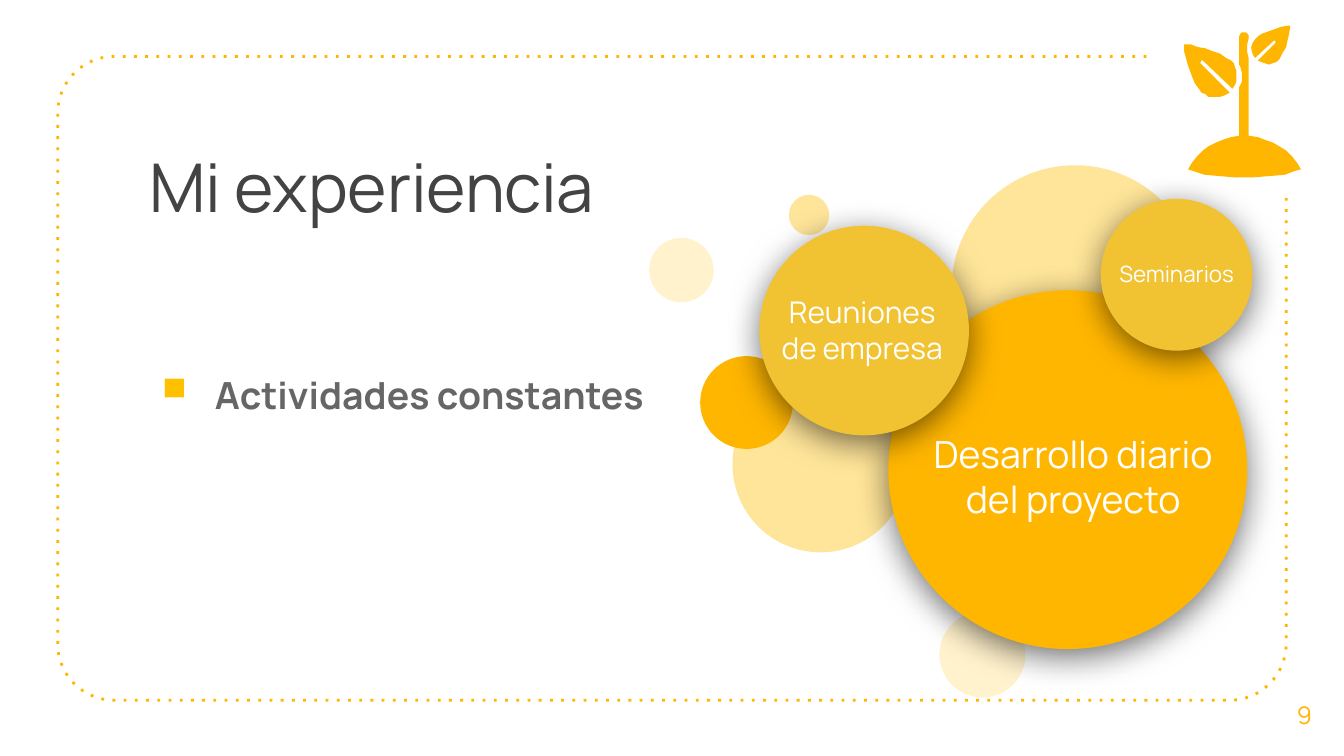
"""Build the "Mi experiencia" slide with its dotted frame, sprout and circles."""
from math import cos, radians, sin

from lxml import etree
from pptx import Presentation
from pptx.dml.color import RGBColor
from pptx.enum.dml import MSO_LINE
from pptx.enum.shapes import MSO_SHAPE
from pptx.enum.text import MSO_ANCHOR, MSO_AUTO_SIZE, PP_ALIGN
from pptx.oxml.ns import qn
from pptx.util import Inches, Pt

FONT = "Manrope"
COLORS = {"amber": "FFB600", "gold": "F1C232", "sand": "FFE599", "cream": "FFF2CC",
          "bullet": "FFC000", "title": "434343", "body": "666666", "white": "FFFFFF"}

TITLE = ("Mi experiencia", (1.01, 0.98, 7.51, 0.94), 36, "title")
ACTIVITY = ("Actividades constantes", (0.51, 2.67, 8.3, 0.95), 20, "body")
PAGE_NUMBER = ("9", (9.41, 5.02, 0.59, 0.6), 13, "amber")

BACK_CIRCLES = [(6.99, 4.55, 0.64, "cream"), (4.83, 1.77, 0.48, "cream"),
                (5.45, 2.8, 1.31, "sand"), (7.08, 1.23, 1.84, "sand"),
                (5.21, 2.65, 0.69, "amber"), (5.87, 1.45, 0.3, "sand")]
TOPICS = [((6.61, 2.16, 2.67, "amber"), "Desarrollo diario del proyecto", (6.79, 2.91, 2.39, 1.27), 20),
          ((5.65, 1.68, 1.56, "gold"), "Reuniones de empresa", (5.62, 1.94, 1.59, 1.03), 16),
          ((8.19, 1.48, 1.13, "gold"), "Seminarios", (8.19, 1.58, 1.13, 0.91), 12)]

FRAME = {"left": 0.43, "top": 0.42, "right": 9.57, "bottom": 5.21, "radius": 0.42,
         "start": (8.53, 0.42), "end": (9.57, 1.46)}
RIGHT_LEAF = [(9.59, 0.19), (9.53, 0.2), (9.45, 0.23), (9.39, 0.25), (9.36, 0.27), (9.34, 0.29),
              (9.32, 0.32), (9.31, 0.35), (9.31, 0.36), (9.32, 0.4), (9.33, 0.42), (9.34, 0.43),
              (9.47, 0.31), (9.48, 0.3), (9.49, 0.31), (9.49, 0.32), (9.36, 0.45), (9.38, 0.46),
              (9.41, 0.47), (9.44, 0.48), (9.47, 0.47), (9.5, 0.46), (9.52, 0.44), (9.54, 0.4),
              (9.57, 0.35), (9.58, 0.3), (9.59, 0.26), (9.6, 0.2), (9.6, 0.19)]
STEM = [(9.29, 1.01), (9.29, 0.43), (9.28, 0.39), (9.28, 0.33), (9.29, 0.29), (9.29, 0.26),
        (9.28, 0.25), (9.27, 0.24), (9.24, 0.24), (9.23, 0.25), (9.22, 0.27), (9.22, 0.48),
        (9.23, 0.5), (9.24, 0.54), (9.24, 0.61), (9.23, 0.63), (9.22, 0.65), (9.22, 1.01)]
SOIL = [(9.16, 1.02), (9.1, 1.04), (9.05, 1.06), (8.99, 1.09), (8.95, 1.12), (8.91, 1.16),
        (8.87, 1.21), (8.84, 1.26), (8.87, 1.27), (8.96, 1.3), (9.07, 1.31), (9.19, 1.32),
        (9.32, 1.32), (9.45, 1.31), (9.56, 1.3), (9.64, 1.27), (9.68, 1.26), (9.65, 1.21),
        (9.61, 1.16), (9.57, 1.12), (9.52, 1.09), (9.47, 1.06), (9.41, 1.04), (9.36, 1.02)]
LEFT_LEAF = [(8.81, 0.33), (8.81, 0.38), (8.84, 0.49), (8.87, 0.57), (8.89, 0.62), (8.92, 0.66),
             (8.94, 0.69), (8.97, 0.7), (8.99, 0.72), (9.02, 0.72), (9.08, 0.72), (9.11, 0.71),
             (9.13, 0.7), (9.15, 0.69), (8.94, 0.48), (8.93, 0.47), (8.94, 0.45), (8.95, 0.45),
             (8.96, 0.46), (9.17, 0.66), (9.19, 0.63), (9.2, 0.6), (9.2, 0.53), (9.19, 0.5),
             (9.18, 0.47), (9.16, 0.45), (9.12, 0.43), (9.08, 0.4), (9.02, 0.38), (8.97, 0.36),
             (8.91, 0.35), (8.86, 0.33)]


def color(name):
    return RGBColor.from_string(COLORS[name])


def paint(shape, name):
    shape.shadow.inherit = False
    shape.fill.solid()
    shape.fill.fore_color.rgb = color(name)
    shape.line.fill.background()


def write(shape, text, size, name, align=PP_ALIGN.LEFT, anchor=MSO_ANCHOR.TOP, bold=False):
    frame = shape.text_frame
    frame.word_wrap = True
    frame.auto_size = MSO_AUTO_SIZE.NONE
    frame.vertical_anchor = anchor
    frame.margin_left = frame.margin_right = frame.margin_top = frame.margin_bottom = Inches(0.1)
    paragraph = frame.paragraphs[0]
    paragraph.alignment = align
    run = paragraph.add_run()
    run.text = text
    run.font.name, run.font.size, run.font.bold = FONT, Pt(size), bold
    run.font.color.rgb = color(name)
    return paragraph


def add_text(shapes, text, box, *style, **options):
    return write(shapes.add_textbox(*map(Inches, box)), text, *style, **options)


def add_outline(shapes, points, close=True):
    corners = [(Inches(x), Inches(y)) for x, y in points]
    builder = shapes.build_freeform(*corners[0], scale=1.0)
    builder.add_line_segments(corners[1:], close=close)
    return builder.convert_to_shape()


def add_circle(shapes, left, top, size, name):
    circle = shapes.add_shape(MSO_SHAPE.OVAL, *map(Inches, (left, top, size, size)))
    paint(circle, name)
    return circle


def add_shadow(shape):
    effects = shape._element.spPr.find(qn("a:effectLst"))
    shadow = etree.SubElement(effects, qn("a:outerShdw"), blurRad=str(Pt(18)), dist=str(Pt(4)),
                              dir="5400000", algn="ctr", rotWithShape="0")
    black = etree.SubElement(shadow, qn("a:srgbClr"), val="000000")
    etree.SubElement(black, qn("a:alpha"), val="55000")


def add_bullet(paragraph):
    paragraph.space_before = Pt(6)
    props = paragraph._p.get_or_add_pPr()
    props.set("marL", str(Inches(0.99)))
    props.set("indent", str(Inches(-0.46)))
    tint = etree.SubElement(props, qn("a:buClr"))
    etree.SubElement(tint, qn("a:srgbClr"), val=COLORS["bullet"])
    etree.SubElement(props, qn("a:buSzPct"), val="155000")
    etree.SubElement(props, qn("a:buChar"), char="▪")


def frame_points():
    r = FRAME["radius"]
    left, right = FRAME["left"] + r, FRAME["right"] - r
    top, bottom = FRAME["top"] + r, FRAME["bottom"] - r
    points = [FRAME["start"]]
    for x, y, first in [(left, top, 270), (left, bottom, 180), (right, bottom, 90)]:
        angles = [radians(first - 90 * step / 16) for step in range(17)]
        points += [(x + r * cos(a), y + r * sin(a)) for a in angles]
    return points + [FRAME["end"]]


prs = Presentation()
prs.slide_width, prs.slide_height = Inches(10), Inches(10 * 9 / 16)
slide = prs.slides.add_slide(prs.slide_layouts[5])
shapes = slide.shapes

border = add_outline(shapes, frame_points(), close=False)
border.shadow.inherit = False
border.fill.background()
border.line.color.rgb = color("amber")
border.line.width = Pt(1.5)
border.line.dash_style = MSO_LINE.ROUND_DOT
border._element.spPr.find(".//" + qn("a:prstDash")).set("val", "dot")

text, box, size, ink = TITLE
title = shapes.title
title.left, title.top, title.width, title.height = map(Inches, box)
write(title, text, size, ink)

add_bullet(add_text(shapes, *ACTIVITY, bold=True))
add_text(shapes, *PAGE_NUMBER, align=PP_ALIGN.CENTER, anchor=MSO_ANCHOR.MIDDLE)

sprout = shapes.add_group_shape()
for points in (RIGHT_LEAF, STEM + SOIL, LEFT_LEAF):
    paint(add_outline(sprout.shapes, points), "amber")

backdrop = shapes.add_group_shape()
for circle in BACK_CIRCLES:
    add_circle(backdrop.shapes, *circle)

for circle, label, box, size in TOPICS:
    topic = shapes.add_group_shape()
    add_shadow(add_circle(topic.shapes, *circle))
    add_text(topic.shapes, label, box, size, "white",
             align=PP_ALIGN.CENTER, anchor=MSO_ANCHOR.MIDDLE)

prs.save("out.pptx")
